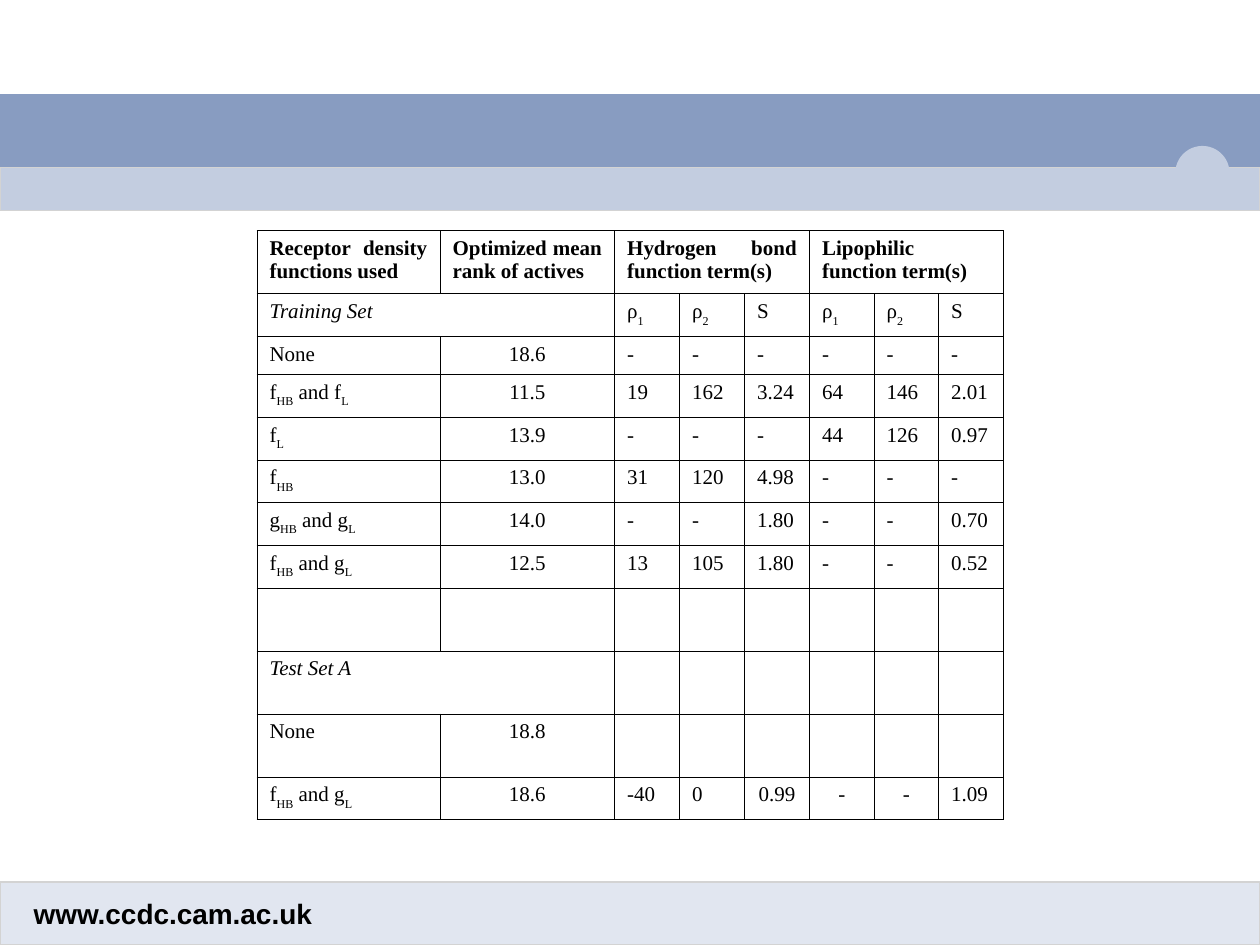
from lxml import etree
from pptx import Presentation
from pptx import util as u
from pptx.dml.color import RGBColor
from pptx.enum import shapes, text
from pptx.oxml import ns

BLACK = RGBColor(0x00, 0x00, 0x00)
BLUE = RGBColor(0x88, 0x9C, 0xC1)
PALE_BLUE = RGBColor(0xC3, 0xCD, 0xE0)
FOOTER_BLUE = RGBColor(0xE1, 0xE6, 0xF0)
GREY = RGBColor(0xD3, 0xD3, 0xD3)

WIDTH, HEIGHT = 25.4, 19.05
TALL, MEDIUM, SHORT = 1.27, 0.86, 0.77
COL_WIDTHS = [3.69, 3.52] + [1.31] * 3 + [1.3] * 3
ROW_HEIGHTS = [TALL, MEDIUM, SHORT] + [MEDIUM] * 5 + [TALL] * 3 + [MEDIUM]
MERGES = [(0, 2, 4), (0, 5, 7), (1, 0, 1), (9, 0, 1)]
CENTERED = {(11, 4), (11, 5), (11, 6)}
ITALIC_ROWS = {1, 9}
ROWS = [
    ["Receptor density functions used", "Optimized mean rank of actives",
     "Hydrogen bond function term(s)", "", "", "Lipophilic function term(s)", "", ""],
    ["Training Set", "", "ρ|1", "ρ|2", "S", "ρ|1", "ρ|2", "S"],
    ["None", "18.6", "-", "-", "-", "-", "-", "-"],
    ["f|HB| and f|L", "11.5", "19", "162", "3.24", "64", "146", "2.01"],
    ["f|L", "13.9", "-", "-", "-", "44", "126", "0.97"],
    ["f|HB", "13.0", "31", "120", "4.98", "-", "-", "-"],
    ["g|HB| and g|L", "14.0", "-", "-", "1.80", "-", "-", "0.70"],
    ["f|HB| and g|L", "12.5", "13", "105", "1.80", "-", "-", "0.52"],
    [""] * 8,
    ["Test Set A"] + [""] * 7,
    ["None", "18.8"] + [""] * 6,
    ["f|HB| and g|L", "18.6", "-40", "0", "0.99", "-", "-", "1.09"],
]


def add_block(slide, kind, left, top, width, height, fill, line=None, weight=0.75):
    """Add a flat filled shape, outlined only when a line colour is given."""
    sp = slide.shapes.add_shape(kind, u.Cm(left), u.Cm(top), u.Cm(width), u.Cm(height))
    sp.shadow.inherit = False
    sp.fill.solid()
    sp.fill.fore_color.rgb = fill
    if line is None:
        sp.line.fill.background()
    else:
        sp.line.color.rgb = line
        sp.line.width = u.Pt(weight)


def add_header(slide, left, top, width):
    """Draw the two stacked bands and the round tab between them."""
    rect, oval = shapes.MSO_SHAPE.RECTANGLE, shapes.MSO_SHAPE.OVAL
    add_block(slide, rect, left, top, width, 1.48, BLUE)
    add_block(slide, rect, left, top + 1.48, width, 0.86, PALE_BLUE, GREY)
    add_block(slide, oval, left + width - 1.69, top + 1.06, 1.06, 1.06,
              PALE_BLUE, PALE_BLUE, 1)


def add_footer(slide, left, top, width, height):
    """Draw the footer band with the web address."""
    add_block(slide, shapes.MSO_SHAPE.RECTANGLE, left, top, width, height,
              FOOTER_BLUE, GREY)
    box = slide.shapes.add_textbox(u.Cm(left + 0.43), u.Cm(top + 0.21),
                                   u.Cm(6.35), u.Cm(0.85))
    tf = box.text_frame
    tf.word_wrap = True
    tf.vertical_anchor = text.MSO_ANCHOR.MIDDLE
    tf.text = "www.ccdc.cam.ac.uk"
    font = tf.paragraphs[0].runs[0].font
    font.name, font.size, font.bold = "Arial", u.Pt(16), True
    font.color.rgb = BLACK


def set_borders(cell):
    """Give the cell a thin black line on each side and no fill."""
    tc_pr = cell._tc.get_or_add_tcPr()
    for side in ("a:lnL", "a:lnR", "a:lnT", "a:lnB"):
        ln = etree.SubElement(tc_pr, ns.qn(side), w=str(u.Pt(0.45)))
        fill = etree.SubElement(ln, ns.qn("a:solidFill"))
        etree.SubElement(fill, ns.qn("a:srgbClr"), val=str(BLACK))
    cell.fill.background()


def write_cell(cell, content, align, bold, italic):
    """Write text in which every second part between bars is a subscript."""
    p = cell.text_frame.paragraphs[0]
    p.alignment = align
    for i, part in enumerate(content.split("|")):
        r = p.add_run()
        r.text = part
        font = r.font
        font.name, font.size = "Times New Roman", u.Pt(12)
        font.bold, font.italic = bold, italic
        font.color.rgb = BLACK
        if i % 2:
            r._r.get_or_add_rPr().set("baseline", "-30000")


def add_results_table(slide, left, top):
    """Place the table of receptor density results."""
    frame = slide.shapes.add_table(
        len(ROWS), len(COL_WIDTHS), u.Cm(left), u.Cm(top),
        u.Cm(sum(COL_WIDTHS)), u.Cm(sum(ROW_HEIGHTS)))
    table = frame.table
    table.first_row = table.horz_banding = False
    for column, width in zip(table.columns, COL_WIDTHS):
        column.width = u.Cm(width)
    for row, height in zip(table.rows, ROW_HEIGHTS):
        row.height = u.Cm(height)
    for row, first, last in MERGES:
        table.cell(row, first).merge(table.cell(row, last))
    for i, row in enumerate(ROWS):
        for j, content in enumerate(row):
            cell = table.cell(i, j)
            set_borders(cell)
            if content:
                centered = (j == 1 and i > 1) or (i, j) in CENTERED
                align = text.PP_ALIGN.CENTER if centered else text.PP_ALIGN.JUSTIFY
                write_cell(cell, content, align, i == 0, i in ITALIC_ROWS and j == 0)


def main():
    """Build the slide and save it."""
    prs = Presentation()
    prs.slide_width, prs.slide_height = u.Cm(WIDTH), u.Cm(HEIGHT)
    slide = prs.slides.add_slide(prs.slide_layouts[6])
    add_header(slide, 0, 1.9, WIDTH)
    add_footer(slide, 0, HEIGHT - 1.27, WIDTH, 1.27)
    add_results_table(slide, 5.18, 4.65)
    prs.save("out.pptx")


if __name__ == "__main__":
    main()
